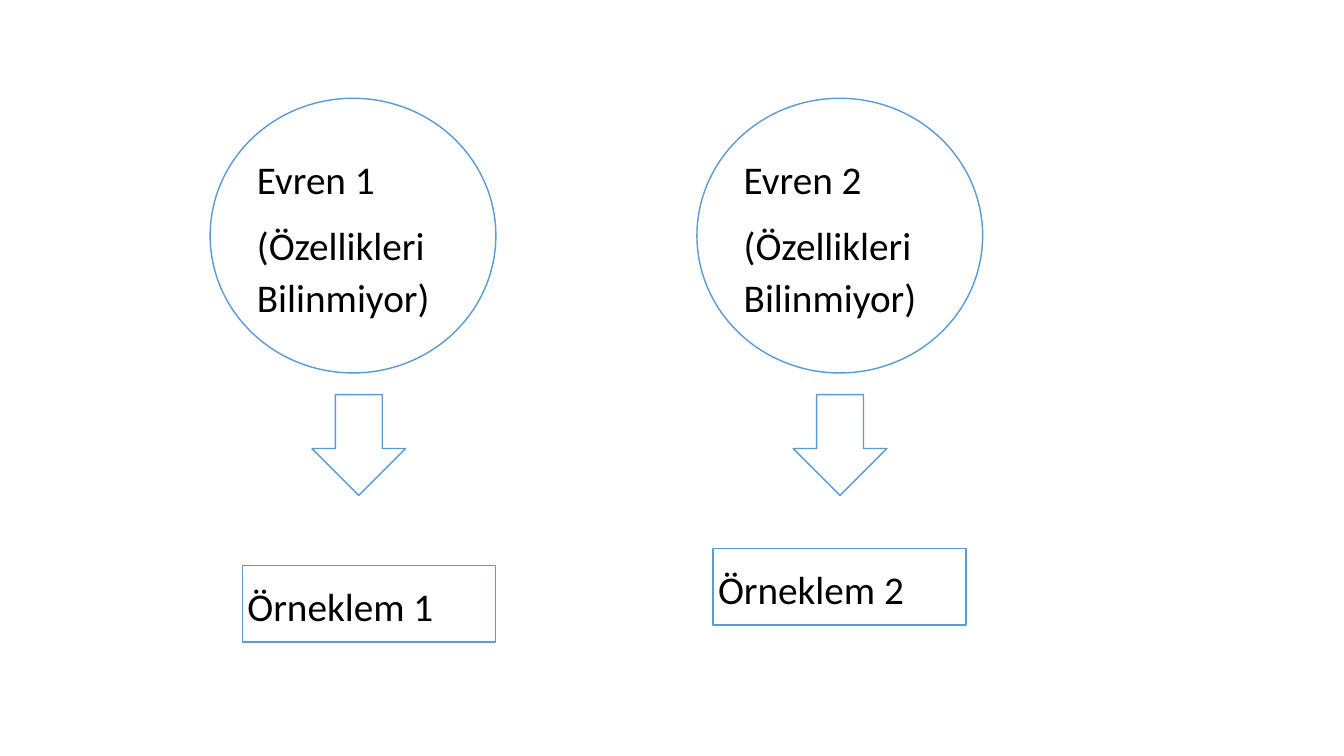
import pptx
import pptx.dml.color
import pptx.enum.shapes
import pptx.enum.text
import pptx.util

PX = pptx.util.Inches(1) // 100
COLORS = {"paper": "FFFFFF", "outline": "5B9BD5", "ink": "000000"}
SHAPES = pptx.enum.shapes.MSO_SHAPE


def color(name):
    """Return the named colour."""
    return pptx.dml.color.RGBColor.from_string(COLORS[name])


def add_outlined(slide, kind, left, top, width, height):
    """Add a white preset shape with a blue outline."""
    box = (value * PX for value in (left, top, width, height))
    shape = slide.shapes.add_shape(kind, *box)
    shape.shadow.inherit = False
    shape.fill.solid()
    shape.fill.fore_color.rgb = color("paper")
    shape.line.color.rgb = color("outline")
    shape.line.width = pptx.util.Pt(2)
    return shape


def write_text(shape, lines, *, size=56, font="Calibri", ink="ink", gap=20, spacing=1.1):
    """Write left-aligned paragraphs, centred vertically in a shape."""
    frame = shape.text_frame
    frame.word_wrap = True
    frame.vertical_anchor = pptx.enum.text.MSO_ANCHOR.MIDDLE
    frame.margin_left = frame.margin_right = 10 * PX
    frame.margin_top = frame.margin_bottom = 10 * PX
    for index, line in enumerate(lines):
        paragraph = frame.add_paragraph() if index else frame.paragraphs[0]
        paragraph.text = line
        paragraph.alignment = pptx.enum.text.PP_ALIGN.LEFT
        paragraph.line_spacing = spacing
        paragraph.space_before = pptx.util.Pt(gap if index else 0)
        paragraph.font.size = pptx.util.Pt(size)
        paragraph.font.name = font
        paragraph.font.color.rgb = color(ink)


def add_population(slide, number, left, top):
    """Add the circle that names a population."""
    circle = add_outlined(slide, SHAPES.OVAL, left, top, 567, 545)
    write_text(circle, [f"Evren {number}", "(Özellikleri Bilinmiyor)"])


def add_sample(slide, number, left, top):
    """Add the box that names a sample."""
    box = add_outlined(slide, SHAPES.RECTANGLE, left, top, 502, 152)
    write_text(box, [f"Örneklem {number}"])


def add_column(slide, number, left, top, arrow_left, sample_left, sample_top):
    """Add a population, its arrow and its sample, relative to left and top."""
    add_population(slide, number, left, top)
    add_outlined(slide, SHAPES.DOWN_ARROW, left + arrow_left, top + 588, 186, 200)
    add_sample(slide, number, left + sample_left, top + sample_top)


def main():
    """Build the slide and save it."""
    presentation = pptx.Presentation()
    presentation.slide_width = 2667 * PX
    presentation.slide_height = 1500 * PX
    slide = presentation.slides.add_slide(presentation.slide_layouts[6])
    add_column(slide, 1, 417, 195, arrow_left=202, sample_left=64, sample_top=927)
    add_column(slide, 2, 1383, 195, arrow_left=191, sample_left=32, sample_top=893)
    presentation.save("out.pptx")


if __name__ == "__main__":
    main()
